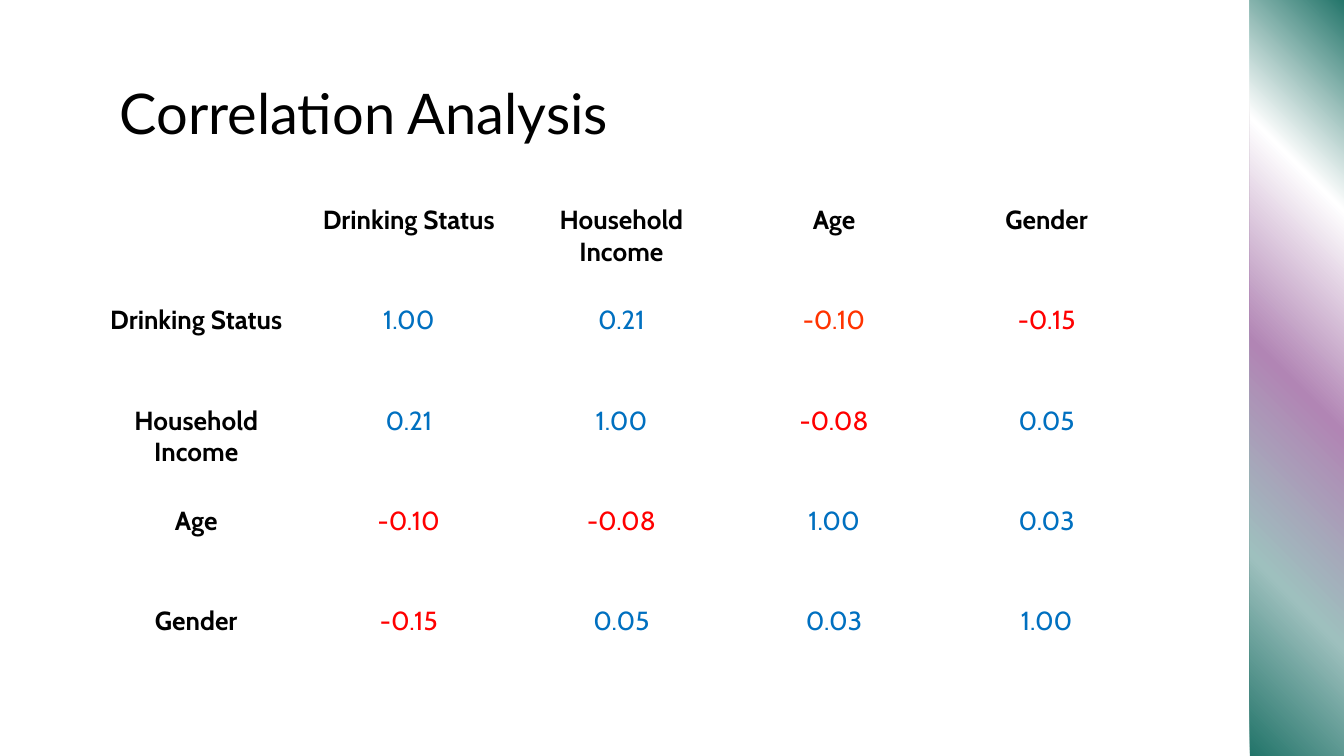
from dataclasses import dataclass

from lxml import etree
from pptx import Presentation
from pptx.dml.color import RGBColor
from pptx.enum.shapes import MSO_SHAPE
from pptx.enum.text import MSO_ANCHOR, MSO_AUTO_SIZE, PP_ALIGN
from pptx.oxml.ns import qn
from pptx.util import Cm, Pt

RECTANGLE = MSO_SHAPE.RECTANGLE
TOP = MSO_ANCHOR.TOP
NO_AUTOFIT = MSO_AUTO_SIZE.NONE
LEFT, CENTER = PP_ALIGN.LEFT, PP_ALIGN.CENTER

COLORS = {
    "white": "FFFFFF",
    "black": "000000",
    "positive": "0070C0",
    "negative": "FF0000",
    "highlight": "FF3300",
    "green": "207368",
    "mist": "9EC0BE",
    "purple": "B185B4",
}
VARIABLES = ["Drinking Status", "Household Income", "Age", "Gender"]
CORRELATIONS = [
    [1.00, 0.21, -0.10, -0.15],
    [0.21, 1.00, -0.08, 0.05],
    [-0.10, -0.08, 1.00, 0.03],
    [-0.15, 0.05, 0.03, 1.00],
]
HIGHLIGHTED_CELL = (1, 3)


@dataclass
class Box:
    left: float
    top: float
    width: float
    height: float

    def lengths(self) -> tuple:
        return Cm(self.left), Cm(self.top), Cm(self.width), Cm(self.height)


@dataclass
class GradientStop:
    percent: int
    color: str


@dataclass
class TableCell:
    row: int
    column: int
    text: str
    color: str = "black"
    bold: bool = True


TITLE_BOX = Box(2.01, 1.24, 21.41, 1.6)
TABLE_BOX = Box(1.7, 3.73, 20.09, 9.47)
BAND_BOX = Box(23.62, -0.08, 1.78, 14.43)
BAND_STOPS = [
    GradientStop(0, "green"),
    GradientStop(24, "mist"),
    GradientStop(49, "purple"),
    GradientStop(75, "white"),
    GradientStop(100, "green"),
]


def write_text(text_frame, text: str, *, font: str, size: float,
               color: str = "black", bold: bool = False, align=LEFT) -> None:
    paragraph = text_frame.paragraphs[0]
    paragraph.alignment = align
    run = paragraph.add_run()
    run.text = text
    run.font.name = font
    run.font.size = Pt(size)
    run.font.bold = bold
    run.font.color.rgb = RGBColor.from_string(COLORS[color])


def draw_band(slide, box: Box, stops: list[GradientStop]) -> None:
    shape = slide.shapes.add_shape(RECTANGLE, *box.lengths())
    shape.shadow.inherit = False
    shape.line.fill.background()
    shape.rotation = 180
    properties = shape._element.spPr
    properties.find(qn("a:xfrm")).set("flipH", "1")
    shape.fill.gradient()
    shape.fill.gradient_angle = 315
    stop_list = next(properties.iter(qn("a:gsLst")))
    stop_list.clear()
    for stop in stops:
        element = etree.SubElement(stop_list, qn("a:gs"), pos=str(stop.percent * 1000))
        etree.SubElement(element, qn("a:srgbClr"), val=COLORS[stop.color])


def draw_title(slide, box: Box, text: str) -> None:
    title = slide.shapes.title
    title.left, title.top, title.width, title.height = box.lengths()
    frame = title.text_frame
    frame.word_wrap = True
    frame.auto_size = NO_AUTOFIT
    frame.vertical_anchor = TOP
    frame.margin_left = frame.margin_right = Cm(0.25)
    frame.margin_top = frame.margin_bottom = Cm(0.25)
    write_text(frame, text, font="Lato", size=30)


def add_border(cell, side: str, color: str) -> None:
    properties = cell._tc.get_or_add_tcPr()
    line = etree.SubElement(properties, qn(f"a:ln{side}"), w=str(Pt(1)))
    fill = etree.SubElement(line, qn("a:solidFill"))
    etree.SubElement(fill, qn("a:srgbClr"), val=COLORS[color])


def correlation_cells() -> list[TableCell]:
    cells = [TableCell(0, 0, "")]
    for index, variable in enumerate(VARIABLES, start=1):
        cells += [TableCell(0, index, variable), TableCell(index, 0, variable)]
    for row, values in enumerate(CORRELATIONS, start=1):
        for column, value in enumerate(values, start=1):
            color = "negative" if value < 0 else "positive"
            if (row, column) == HIGHLIGHTED_CELL:
                color = "highlight"
            cells.append(TableCell(row, column, f"{value:.2f}", color, False))
    return cells


def draw_table(slide, box: Box, cells: list[TableCell]) -> None:
    count = len(VARIABLES) + 1
    table = slide.shapes.add_table(count, count, *box.lengths()).table
    table.first_row = False
    table.horz_banding = False
    for column in table.columns:
        column.width = Cm(box.width / count)
    for row in table.rows:
        row.height = Cm(box.height / count)
    for item in cells:
        cell = table.cell(item.row, item.column)
        for side in "LRTB":
            add_border(cell, side, "white")
        cell.fill.solid()
        cell.fill.fore_color.rgb = RGBColor.from_string(COLORS["white"])
        cell.vertical_anchor = TOP
        if item.text:
            write_text(cell.text_frame, item.text, font="Cabin", size=14,
                       color=item.color, bold=item.bold, align=CENTER)


def main() -> None:
    presentation = Presentation()
    presentation.slide_width = Cm(25.4)
    presentation.slide_height = Cm(14.28)
    slide = presentation.slides.add_slide(presentation.slide_layouts[5])
    draw_band(slide, BAND_BOX, BAND_STOPS)
    draw_title(slide, TITLE_BOX, "Correlation Analysis")
    draw_table(slide, TABLE_BOX, correlation_cells())
    presentation.save("out.pptx")


if __name__ == "__main__":
    main()
